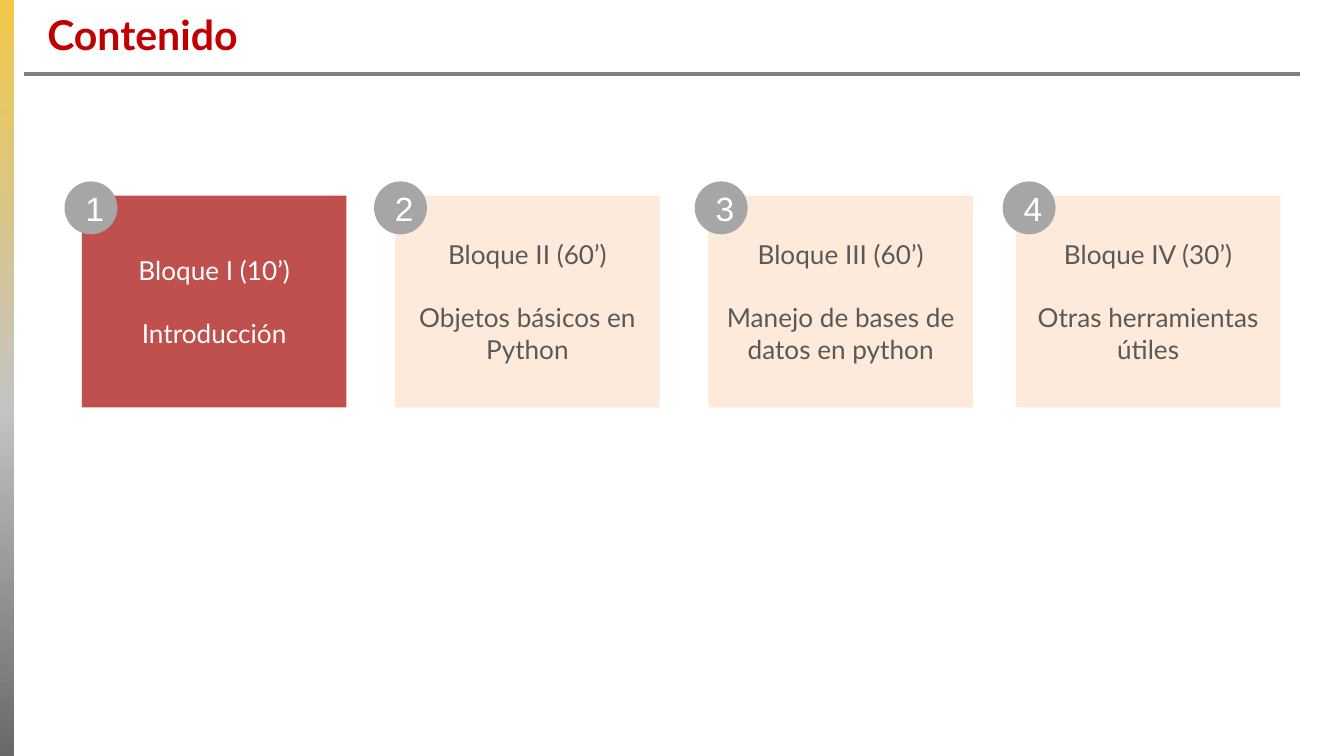
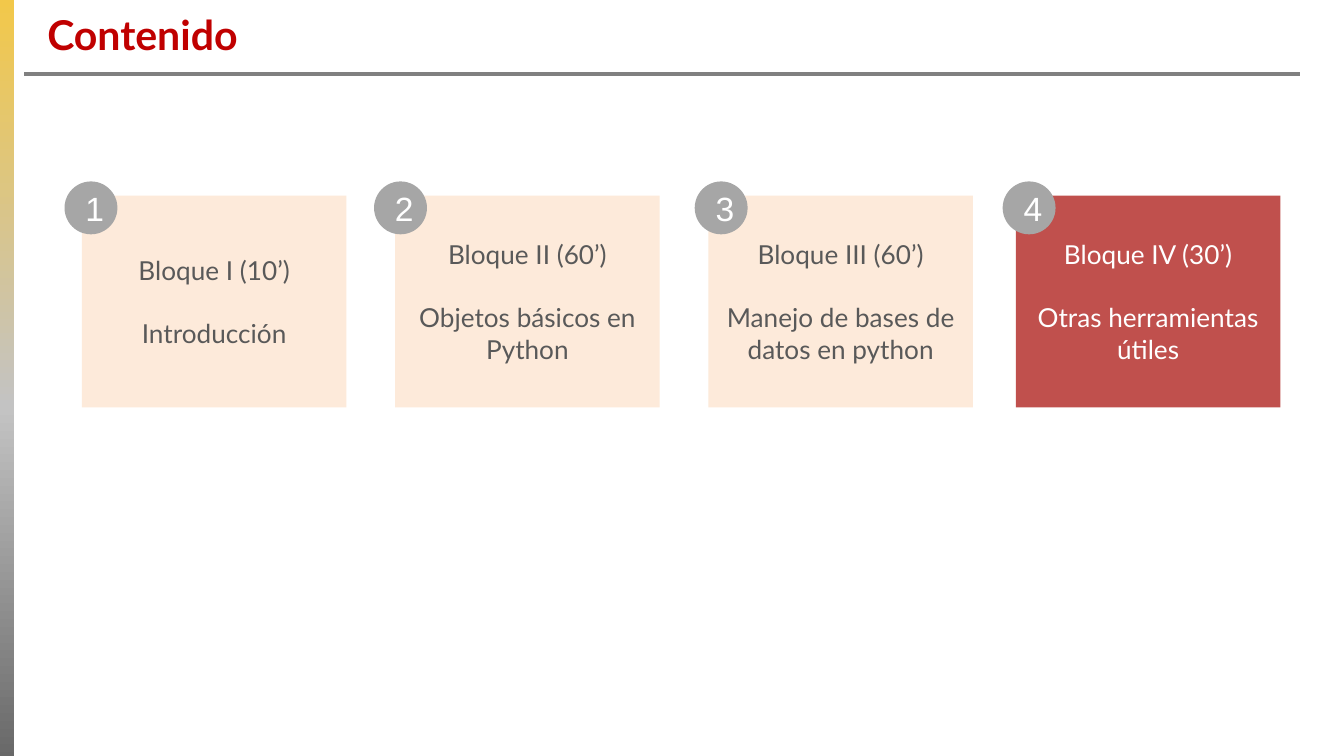
"""Build two agenda slides, each highlighting one block of the course."""
from copy import deepcopy

from lxml.etree import SubElement
from pptx import Presentation
from pptx.dml.color import RGBColor
from pptx.enum.shapes import MSO_CONNECTOR, MSO_SHAPE as Shape
from pptx.enum.text import MSO_ANCHOR as Anchor, MSO_AUTO_SIZE, PP_ALIGN as Align
from pptx.oxml.ns import qn
from pptx.util import Cm, Pt

TITLE_RED = RGBColor(0xC0, 0x00, 0x00)
ACTIVE_RED = RGBColor(0xC0, 0x50, 0x4D)
PEACH = RGBColor(0xFD, 0xEA, 0xDA)
TEXT_GREY = RGBColor(0x59, 0x59, 0x59)
BADGE_GREY = RGBColor(0xA6, 0xA6, 0xA6)
RULE_GREY = RGBColor(0x80, 0x80, 0x80)
WHITE = RGBColor(0xFF, 0xFF, 0xFF)
BAND_STOPS = [
    (0, RGBColor(0xF3, 0xC8, 0x48)),
    (0.54, RGBColor(0xC3, 0xC3, 0xC3)),
    (1, RGBColor(0x68, 0x68, 0x68)),
]

BLOCKS = [
    (1.55, 1.22, "Bloque I (10’)", "Introducción"),
    (7.47, 7.07, "Bloque II (60’)", "Objetos básicos en Python"),
    (13.39, 13.13, "Bloque III (60’)", "Manejo de bases de datos en python"),
    (19.2, 18.95, "Bloque IV (30’)", "Otras herramientas útiles"),
]
ACTIVE_BLOCKS = [1, 4]


class Deck:
    """Hold the presentation, its style and the current slide."""

    def __init__(self):
        self.prs = Presentation()
        self.prs.slide_width, self.prs.slide_height = Cm(25.4), Cm(14.29)
        self.slide = None

    def new_slide(self, heading):
        self.slide = self.prs.slides.add_slide(self.prs.slide_layouts[5])
        self.band()
        self.rule()
        self.title(heading)

    def shape(self, kind, left, top, width, height):
        shape = self.slide.shapes.add_shape(
            kind, Cm(left), Cm(top), Cm(width), Cm(height))
        shape.shadow.inherit = False
        shape.line.fill.background()
        return shape

    def style(self, frame, font, size, color, align=Align.CENTER, bold=False):
        frame.word_wrap = True
        frame.vertical_anchor = Anchor.MIDDLE
        for paragraph in frame.paragraphs:
            paragraph.alignment = align
            for run in paragraph.runs:
                run.font.name, run.font.size = font, Pt(size)
                run.font.bold, run.font.color.rgb = bold, color

    def band(self):
        band = self.shape(Shape.RECTANGLE, -0.03, -0.13, 0.3, 14.5)
        band.fill.gradient()
        band.fill.gradient_angle = 270
        stops = band._element.spPr.find(qn("a:gradFill")).find(qn("a:gsLst"))
        stops.append(deepcopy(stops[-1]))
        for stop, (position, color) in zip(band.fill.gradient_stops, BAND_STOPS):
            stop.position, stop.color.rgb = position, color

    def rule(self):
        rule = self.slide.shapes.add_connector(
            MSO_CONNECTOR.STRAIGHT, Cm(0.46), Cm(1.4), Cm(24.56), Cm(1.4))
        rule.line.color.rgb, rule.line.width = RULE_GREY, Pt(2.25)
        SubElement(rule._element.spPr, qn("a:effectLst"))

    def title(self, heading):
        title = self.slide.shapes.title
        title.left, title.top = Cm(0.64), Cm(0.2)
        title.width, title.height = Cm(24.13), Cm(0.9)
        title.text_frame.text = heading
        title.text_frame.auto_size = MSO_AUTO_SIZE.NONE
        self.style(title.text_frame, "Lato", 22, TITLE_RED, Align.LEFT, True)

    def card(self, left, name, topic, active):
        card = self.shape(Shape.RECTANGLE, left, 3.7, 5, 4)
        card.fill.solid()
        card.fill.fore_color.rgb = ACTIVE_RED if active else PEACH
        frame = card.text_frame
        frame.text = name
        subject = frame.add_paragraph()
        subject.text = topic
        subject.space_before = Pt(16.8)
        self.style(frame, "Lato", 14, WHITE if active else TEXT_GREY)

    def badge(self, left, number):
        badge = self.shape(Shape.OVAL, left, 3.43, 1, 1)
        badge.fill.solid()
        badge.fill.fore_color.rgb = BADGE_GREY
        badge.text_frame.text = str(number)
        self.style(badge.text_frame, "Arial", 18, WHITE)


def main():
    deck = Deck()
    for active in ACTIVE_BLOCKS:
        deck.new_slide("Contenido")
        for number, (card_left, badge_left, name, topic) in enumerate(BLOCKS, 1):
            deck.card(card_left, name, topic, number == active)
            deck.badge(badge_left, number)
    deck.prs.save("out.pptx")


if __name__ == "__main__":
    main()
